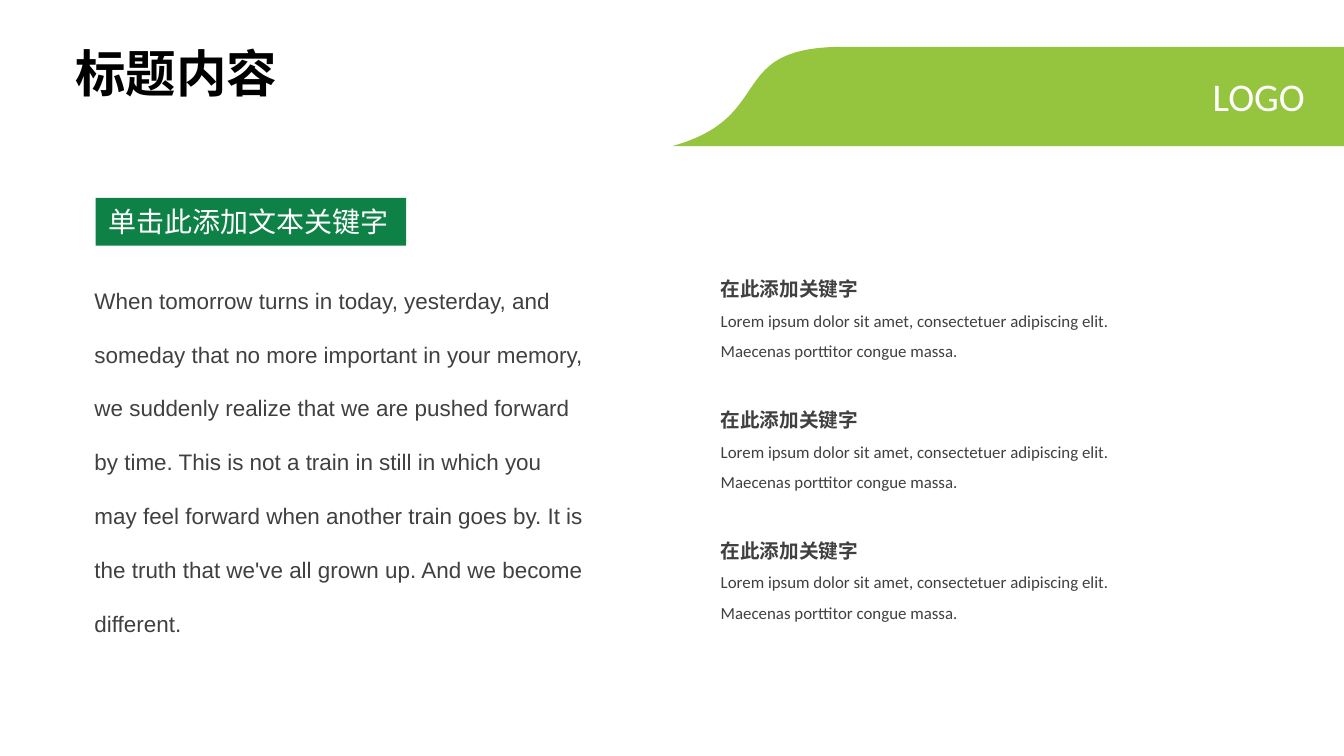
from dataclasses import dataclass

from pptx import Presentation
from pptx.dml.color import RGBColor
from pptx.enum.shapes import MSO_SHAPE
from pptx.enum.text import MSO_ANCHOR, MSO_AUTO_SIZE, PP_ALIGN
from pptx.shapes.autoshape import Shape
from pptx.slide import Slide
from pptx.util import Inches, Pt

LIME = RGBColor(0x95, 0xC5, 0x3E)
GREEN = RGBColor(0x0E, 0x81, 0x46)
WHITE = RGBColor(0xFF, 0xFF, 0xFF)
BLACK = RGBColor(0x00, 0x00, 0x00)
GRAY = RGBColor(0x40, 0x40, 0x40)
RECT = MSO_SHAPE.RECTANGLE
LEFT = PP_ALIGN.LEFT
RIGHT = PP_ALIGN.RIGHT
TOP = MSO_ANCHOR.TOP
MIDDLE = MSO_ANCHOR.MIDDLE
GROW = MSO_AUTO_SIZE.SHAPE_TO_FIT_TEXT

STORY = (
    "When tomorrow turns in today, yesterday, and someday that no more "
    "important in your memory, we suddenly realize that we are pushed forward "
    "by time. This is not a train in still in which you may feel forward when "
    "another train goes by. It is the truth that we've all grown up. And we "
    "become different."
)
LOREM = (
    "Lorem ipsum dolor sit amet, consectetuer adipiscing elit. "
    "Maecenas porttitor congue massa."
)
STEPS = 40


@dataclass(frozen=True)
class Box:
    left: float
    top: float
    width: float
    height: float


@dataclass(frozen=True)
class Point:
    head: str
    body: str
    box: Box


POINTS = [
    Point("在此添加关键字", LOREM, Box(7.4, 2.7 + 1.37 * row, 4.74, 1.15))
    for row in range(3)
]


def paint(shape: Shape, color: RGBColor) -> None:
    shape.shadow.inherit = False
    shape.fill.solid()
    shape.fill.fore_color.rgb = color
    shape.line.fill.background()


def add_text(
    slide: Slide,
    box: Box,
    *lines: tuple[str, float, bool],
    color: RGBColor = GRAY,
    font: str = "Calibri",
    align: PP_ALIGN = LEFT,
    space: float = 1.0,
    wrap: bool = False,
    inset: tuple[float, float] = (0.1, 0.05),
    fill: RGBColor | None = None,
) -> None:
    place = [Inches(n) for n in (box.left, box.top, box.width, box.height)]
    if fill is None:
        shape = slide.shapes.add_textbox(*place)
    else:
        shape = slide.shapes.add_shape(RECT, *place)
        paint(shape, fill)
    frame = shape.text_frame
    frame.word_wrap = wrap
    frame.auto_size = GROW
    frame.vertical_anchor = TOP if fill is None else MIDDLE
    frame.margin_left = frame.margin_right = Inches(inset[0])
    frame.margin_top = frame.margin_bottom = Inches(inset[1])
    for index, (text, size, bold) in enumerate(lines):
        para = frame.add_paragraph() if index else frame.paragraphs[0]
        para.alignment = align
        para.line_spacing = space
        run = para.add_run()
        run.text = text
        run.font.name = font
        run.font.size = Pt(size)
        run.font.bold = bold
        run.font.color.rgb = color


def curve(*knots: tuple[float, float]) -> list[tuple[int, int]]:
    dots = []
    for step in range(1, STEPS + 1):
        t = step / STEPS
        parts = ((1 - t) ** 3, 3 * t * (1 - t) ** 2, 3 * t**2 * (1 - t), t**3)
        x = sum(part * knot[0] for part, knot in zip(parts, knots))
        y = sum(part * knot[1] for part, knot in zip(parts, knots))
        dots.append((Inches(x), Inches(y)))
    return dots


def add_band(slide: Slide) -> None:
    edge = curve((7.03, 1.53), (8.15, 1.22), (7.56, 0.48), (8.85, 0.49))
    right = Inches(14.06)
    low = Inches(1.53)
    form = slide.shapes.build_freeform(Inches(7.03), low)
    form.add_line_segments([*edge, (right, Inches(0.49)), (right, low)])
    paint(form.convert_to_shape(), LIME)


def main() -> None:
    deck = Presentation()
    deck.slide_width = Inches(14.06)
    deck.slide_height = Inches(7.91)
    slide = deck.slides.add_slide(deck.slide_layouts[6])

    add_band(slide)
    add_text(slide, Box(0.69, 0.39, 2.34, 0.74), ("标题内容", 38, True), color=BLACK)
    add_text(
        slide, Box(12.58, 0.71, 1.17, 0.6), ("LOGO", 29.5, False),
        color=WHITE, align=RIGHT,
    )
    add_text(
        slide, Box(1, 2.07, 3.25, 0.5), ("单击此添加文本关键字", 21.1, False),
        color=WHITE, inset=(0.14, 0.07), fill=GREEN,
    )
    add_text(
        slide, Box(0.89, 2.67, 5.34, 4.08), (STORY, 16.9, False),
        font="Arial", space=2.0, wrap=True,
    )
    for point in POINTS:
        add_text(
            slide, point.box, (point.head, 14.8, True), (point.body, 12.7, False),
            space=1.5, wrap=True, inset=(0.14, 0.07),
        )
    deck.save("out.pptx")


if __name__ == "__main__":
    main()
